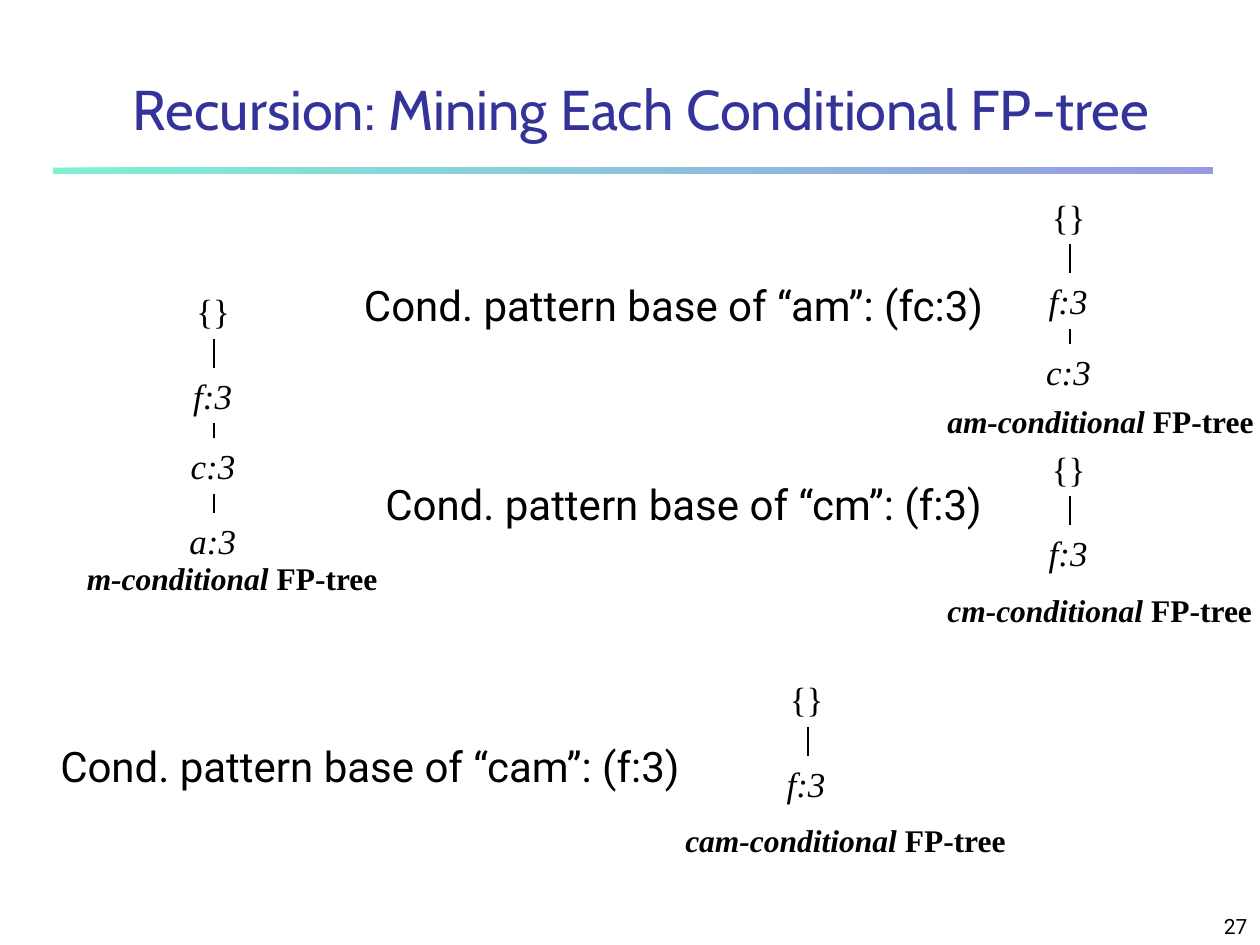
from lxml.etree import SubElement
from pptx import Presentation
from pptx.dml.color import RGBColor
from pptx.enum.shapes import MSO_CONNECTOR, MSO_SHAPE
from pptx.enum.text import MSO_ANCHOR, MSO_AUTO_SIZE, PP_ALIGN
from pptx.oxml.ns import qn
from pptx.util import Inches, Pt

SERIF = "Times New Roman"
SANS = "Roboto"
BLACK = "000000"
NODE_OFFSETS = [0, 0.67, 1.23, 1.82]
NODE_WIDTHS = {"{}": 0.48, "f:3": 0.53, "c:3": 0.57, "a:3": 0.59}
NODE_HEIGHT = 0.44


def color(value):
    return RGBColor.from_string(value)


def add_text(shapes, left, top, width, height, spans, size, font=SANS, ink=BLACK,
             bold=False, wrap=False, align=PP_ALIGN.LEFT, anchor=MSO_ANCHOR.TOP):
    box = shapes.add_textbox(Inches(left), Inches(top), Inches(width), Inches(height))
    frame = box.text_frame
    frame.word_wrap = wrap
    frame.auto_size = MSO_AUTO_SIZE.NONE if wrap else MSO_AUTO_SIZE.SHAPE_TO_FIT_TEXT
    frame.vertical_anchor = anchor
    para = frame.paragraphs[0]
    para.alignment = align
    para.font.name = font
    para.font.size = Pt(size)
    para.font.bold = bold
    para.font.color.rgb = color(ink)
    for text, italic in spans:
        span = para.add_run()
        span.text = text
        span.font.italic = italic


def add_edge(shapes, x, top, bottom):
    edge = shapes.add_connector(
        MSO_CONNECTOR.STRAIGHT, Inches(x), Inches(top), Inches(x), Inches(bottom))
    edge.line.color.rgb = color(BLACK)
    edge.line.width = Pt(1)
    SubElement(edge._element.spPr, qn("a:effectLst"))


def add_tree(shapes, center, top, labels, name, caption_left, caption_drop, caption_width):
    tops = [top + offset for offset in NODE_OFFSETS[:len(labels)]]
    for label, node_top in zip(labels, tops):
        width = NODE_WIDTHS[label]
        add_text(shapes, center - width / 2, node_top, width, NODE_HEIGHT,
                 [(label, label != "{}")], 20, SERIF)
    for upper, lower in zip(tops, tops[1:]):
        add_edge(shapes, center, upper + NODE_HEIGHT, lower)
    add_text(shapes, caption_left, top + caption_drop, caption_width, 0.4,
             [(f"{name}-conditional ", True), ("FP-tree", False)], 18, SERIF, bold=True)


def add_rule(page):
    rule = page.shapes.add_shape(
        MSO_SHAPE.RECTANGLE, Inches(0.42), Inches(1.33), Inches(9.2), Inches(0.05))
    rule.shadow.inherit = False
    rule.line.fill.background()
    rule.fill.gradient()
    rule.fill.gradient_angle = 0
    for stop, value in zip(rule.fill.gradient_stops, ["00E4A8", "3333CC"]):
        stop.color.rgb = color(value)
    for tint in rule._element.spPr.iter(qn("a:srgbClr")):
        SubElement(tint, qn("a:alpha"), val="50000")


def main():
    deck = Presentation()
    deck.slide_width = Inches(10)
    deck.slide_height = Inches(7.5)
    page = deck.slides.add_slide(deck.slide_layouts[6])

    add_rule(page)
    add_text(page.shapes, 7.92, 7.08, 2.08, 0.42, [("27", False)], 12,
             wrap=True, align=PP_ALIGN.RIGHT, anchor=MSO_ANCHOR.BOTTOM)
    add_text(page.shapes, 0.42, 0.42, 9.34, 0.75,
             [("Recursion: Mining Each Conditional FP-tree", False)], 32, "Cabin", "333399",
             wrap=True, align=PP_ALIGN.CENTER, anchor=MSO_ANCHOR.BOTTOM)

    for left, top, width, pattern, base in [
        (2.79, 2.17, 5.35, "am", "fc:3"),
        (2.96, 3.75, 5.16, "cm", "f:3"),
        (0.38, 5.83, 5.35, "cam", "f:3"),
    ]:
        add_text(page.shapes, left, top, width, 0.5,
                 [(f"Cond. pattern base of “{pattern}”: ({base})", False)], 24)

    for tree in [
        (1.7, 2.25, ["{}", "f:3", "c:3", "a:3"], "m", 0.59, 2.14, 2.51),
        (8.49, 1.5, ["{}", "f:3", "c:3"], "am", 7.42, 1.64, 2.63),
    ]:
        add_tree(page.shapes.add_group_shape().shapes, *tree)

    for tree in [
        (8.49, 3.5, ["{}", "f:3"], "cm", 7.42, 1.14, 2.62),
        (6.41, 5.33, ["{}", "f:3"], "cam", 5.34, 1.14, 2.75),
    ]:
        add_tree(page.shapes, *tree)

    deck.save("out.pptx")


if __name__ == "__main__":
    main()
